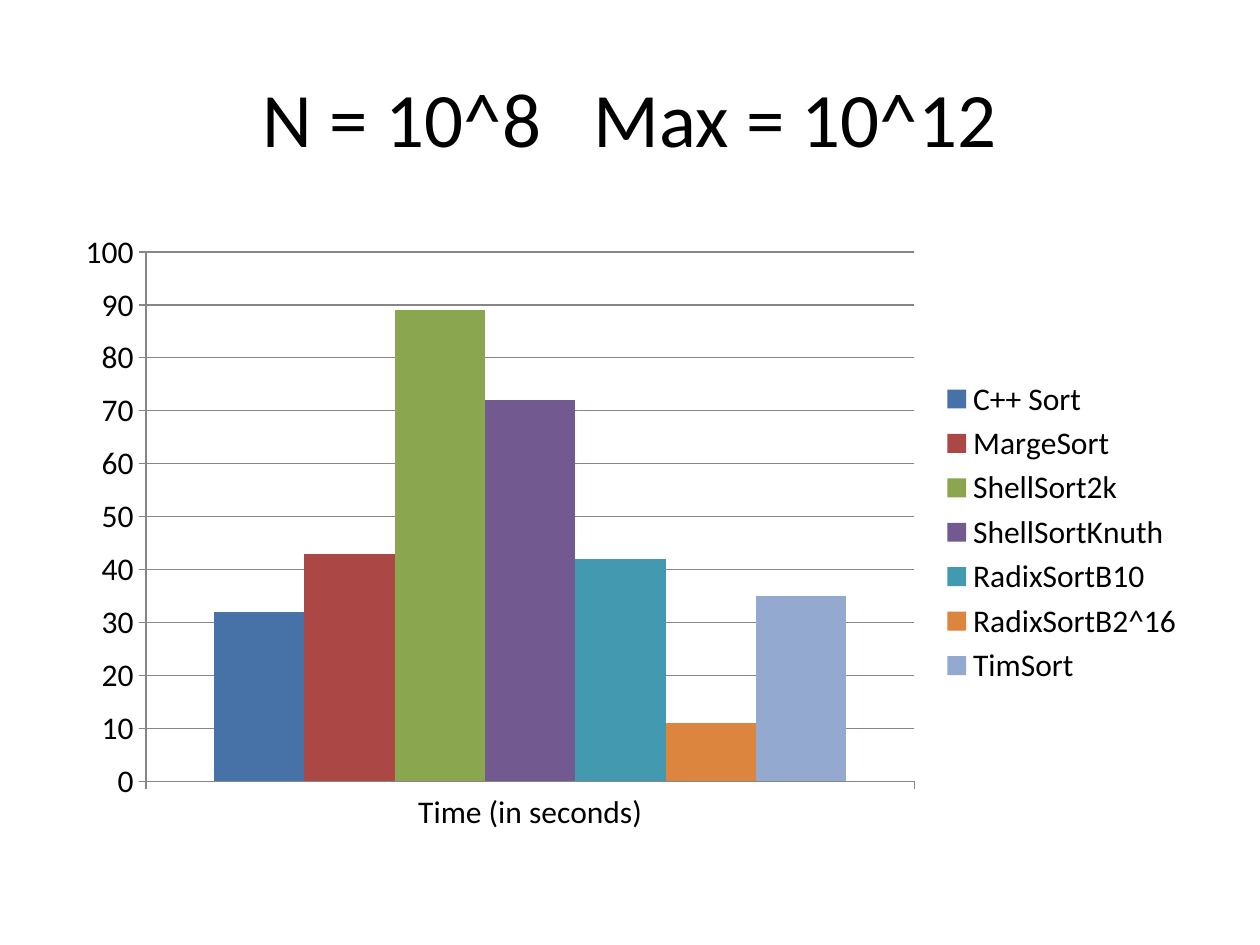
from pptx import Presentation
from pptx.chart.data import CategoryChartData
from pptx.dml.color import RGBColor
from pptx.enum.chart import XL_CHART_TYPE, XL_LEGEND_POSITION, XL_TICK_MARK
from pptx.enum.text import MSO_ANCHOR, PP_ALIGN
from pptx.util import Inches, Pt

FONT = "Calibri"
BLACK = RGBColor(0x00, 0x00, 0x00)
GRAY = RGBColor(0x86, 0x86, 0x86)
BLUE = RGBColor(0x46, 0x72, 0xA8)
RED = RGBColor(0xAB, 0x47, 0x44)
GREEN = RGBColor(0x8A, 0xA6, 0x4F)
PURPLE = RGBColor(0x72, 0x59, 0x90)
TEAL = RGBColor(0x42, 0x99, 0xB0)
ORANGE = RGBColor(0xDC, 0x85, 0x3E)
LIGHT_BLUE = RGBColor(0x93, 0xA9, 0xCF)

HEADING = "N = 10^8   Max = 10^12"
MEASURE = "Time (in seconds)"
SORT_TIMES = [
    ("C++ Sort", 32, BLUE),
    ("MargeSort", 43, RED),
    ("ShellSort2k", 89, GREEN),
    ("ShellSortKnuth", 72, PURPLE),
    ("RadixSortB10", 42, TEAL),
    ("RadixSortB2^16", 11, ORANGE),
    ("TimSort", 35, LIGHT_BLUE),
]


def set_font(font, size):
    font.name = FONT
    font.size = Pt(size)
    font.color.rgb = BLACK


def add_heading(slide):
    heading = slide.shapes.title
    heading.left, heading.top = Inches(0.5), Inches(0.3)
    heading.width, heading.height = Inches(9), Inches(1.25)
    heading.text_frame.text = HEADING
    heading.text_frame.vertical_anchor = MSO_ANCHOR.MIDDLE
    line = heading.text_frame.paragraphs[0]
    line.alignment = PP_ALIGN.CENTER
    set_font(line.font, 44)


def add_times_chart(slide):
    times = CategoryChartData()
    times.categories = [MEASURE]
    for name, seconds, _ in SORT_TIMES:
        times.add_series(name, [seconds])

    chart = slide.shapes.add_chart(
        XL_CHART_TYPE.COLUMN_CLUSTERED,
        Inches(0.5), Inches(1.75), Inches(9), Inches(4.95), times,
    ).chart
    set_font(chart.font, 18)
    chart.has_title = False
    chart.has_legend = True
    chart.legend.position = XL_LEGEND_POSITION.RIGHT
    chart.legend.include_in_layout = False

    bars = chart.plots[0]
    bars.vary_by_categories = False
    bars.gap_width = 150
    bars.overlap = 0
    for series, (_, _, color) in zip(bars.series, SORT_TIMES):
        series.format.fill.solid()
        series.format.fill.fore_color.rgb = color

    seconds_axis = chart.value_axis
    seconds_axis.minimum_scale = 0
    seconds_axis.maximum_scale = 100
    seconds_axis.major_unit = 10
    seconds_axis.has_major_gridlines = True
    seconds_axis.major_gridlines.format.line.color.rgb = GRAY
    for axis in (seconds_axis, chart.category_axis):
        axis.major_tick_mark = XL_TICK_MARK.OUTSIDE
        axis.format.line.color.rgb = GRAY


def main():
    deck = Presentation()
    deck.slide_width, deck.slide_height = Inches(10), Inches(7.5)
    slide = deck.slides.add_slide(deck.slide_layouts[5])
    add_heading(slide)
    add_times_chart(slide)
    deck.save("out.pptx")


if __name__ == "__main__":
    main()
